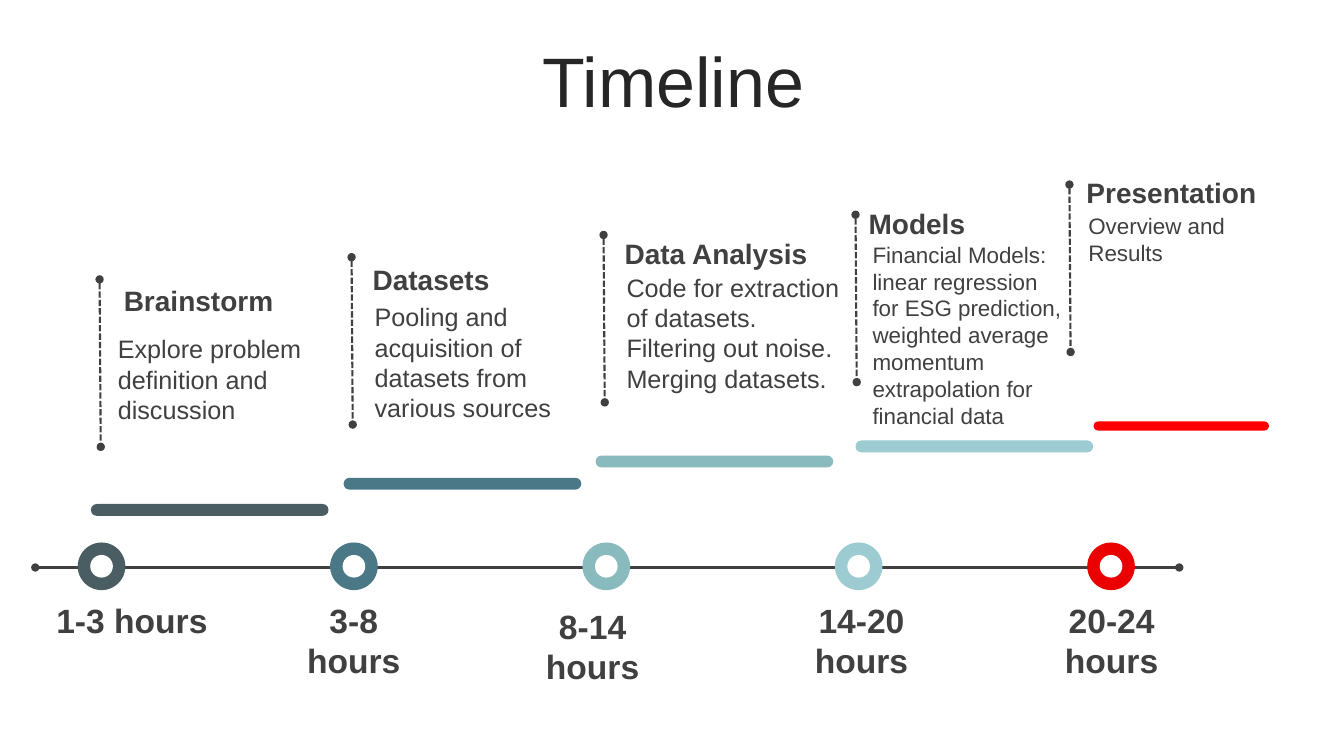
"""Build a five-stage project timeline slide."""
from dataclasses import dataclass
from typing import Optional

from lxml.etree import SubElement
from pptx import Presentation
from pptx.dml.color import RGBColor
from pptx.enum.dml import MSO_LINE as Dash
from pptx.enum.shapes import MSO_CONNECTOR as Link, MSO_SHAPE as Shape
from pptx.enum.text import MSO_ANCHOR as Anchor, PP_ALIGN as Align
from pptx.oxml.ns import qn
from pptx.shapes.autoshape import Shape as Auto
from pptx.slide import Slide
from pptx.util import Cm, Pt

FONT = "Arial"
INK = RGBColor(0x26, 0x26, 0x26)
GRAY = RGBColor(0x40, 0x40, 0x40)
WHITE = RGBColor(0xFF, 0xFF, 0xFF)
SLATE = RGBColor(0x4A, 0x5D, 0x62)
TEAL = RGBColor(0x4A, 0x78, 0x86)
SAGE = RGBColor(0x88, 0xBA, 0xBE)
AQUA = RGBColor(0x9C, 0xCC, 0xD2)
RED = RGBColor(0xEA, 0x00, 0x00)
BRIGHT = RGBColor(0xFF, 0x00, 0x00)

AXIS_Y = 14.3
RING_X, RING_Y, PITCH = 2.56, 14.27, 6.36
RING, HOLE = 1.2, 0.57
PIN_LEAN, PIN_LEN = 0.03, 4.22


@dataclass(frozen=True)
class Box:
    left: float
    top: float
    width: float
    height: float


@dataclass(frozen=True)
class Stage:
    hours: str
    title: str
    note: str
    size: int
    ring: RGBColor
    tint: RGBColor
    label: Box
    head: Box
    body: Box
    bar: Box
    pin: tuple[float, float]


STAGES = [
    Stage("1-3 hours", "Brainstorm", "Explore problem definition and discussion",
          18, SLATE, SLATE, Box(1.04, 15.11, 4.57, 1.02), Box(2.82, 7.01, 4.52, 1.12),
          Box(2.72, 8.28, 5.79, 2.57), Box(2.29, 12.7, 5.99, 0.3), (2.51, 7.04)),
    Stage("3-8 hours", "Datasets",
          "Pooling and acquisition of datasets from various sources",
          18, TEAL, TEAL, Box(7.39, 15.11, 3.05, 2.06), Box(9.09, 6.48, 4.39, 1.12),
          Box(9.19, 7.47, 4.95, 3.33), Box(8.66, 12.04, 5.99, 0.3), (8.86, 6.48)),
    Stage("8-14 hours", "Data Analysis",
          "Code for extraction of datasets. Filtering out noise. Merging datasets.",
          18, SAGE, SAGE, Box(13.41, 15.27, 3.05, 2.06), Box(15.44, 5.82, 5.46, 1.12),
          Box(15.54, 6.73, 6.15, 3.33), Box(15.01, 11.48, 5.99, 0.3), (15.21, 5.92)),
    Stage("14-20 hours", "Models",
          "Financial Models: linear regression for ESG prediction, weighted average "
          "momentum extrapolation for financial data",
          16, AQUA, AQUA, Box(20.12, 15.11, 3.18, 2.06), Box(21.59, 5.08, 4.39, 1.12),
          Box(21.74, 5.94, 5.28, 5.05), Box(21.56, 11.1, 5.99, 0.3), (21.56, 5.41)),
    Stage("20-24 hours", "Presentation", "Overview and Results",
          16, RED, BRIGHT, Box(26.49, 15.11, 3.05, 2.06), Box(27.08, 4.29, 4.93, 1.12),
          Box(27.18, 5.21, 4.37, 1.63), Box(27.56, 10.62, 4.42, 0.23), (26.95, 4.65)),
]


def add_text(slide: Slide, text: str, box: Box, size: int, color: RGBColor = GRAY,
             bold: bool = False, align: Align = Align.LEFT,
             inset: tuple[float, float] = (0.25, 0.13)) -> Auto:
    item = slide.shapes.add_textbox(
        Cm(box.left), Cm(box.top), Cm(box.width), Cm(box.height))
    frame = item.text_frame
    frame.word_wrap = True
    frame.margin_left = frame.margin_right = Cm(inset[0])
    frame.margin_top = frame.margin_bottom = Cm(inset[1])
    frame.text = text
    line = frame.paragraphs[0]
    line.alignment = align
    font = line.runs[0].font
    font.name, font.size, font.bold = FONT, Pt(size), bold
    font.color.rgb = color
    return item


def add_fill(slide: Slide, kind: Shape, box: Box, color: RGBColor) -> Auto:
    item = slide.shapes.add_shape(
        kind, Cm(box.left), Cm(box.top), Cm(box.width), Cm(box.height))
    item.shadow.inherit = False
    item.fill.solid()
    item.fill.fore_color.rgb = color
    item.line.fill.background()
    return item


def add_disc(slide: Slide, x: float, size: float, color: RGBColor) -> Auto:
    box = Box(x - size / 2, RING_Y - size / 2, size, size)
    return add_fill(slide, Shape.OVAL, box, color)


def add_line(slide: Slide, start: tuple[float, float], end: tuple[float, float],
             width: float, dash: Optional[Dash] = None) -> None:
    item = slide.shapes.add_connector(
        Link.STRAIGHT, Cm(start[0]), Cm(start[1]), Cm(end[0]), Cm(end[1]))
    item.line.color.rgb = GRAY
    item.line.width = Pt(width)
    if dash is not None:
        item.line.dash_style = dash
    stroke = item.line._get_or_add_ln()
    for tag in ("a:headEnd", "a:tailEnd"):
        SubElement(stroke, qn(tag), type="oval")
    SubElement(item._element.spPr, qn("a:effectLst"))


def add_stage(slide: Slide, stage: Stage, x: float) -> None:
    add_disc(slide, x, RING, stage.ring).rotation = 315
    add_disc(slide, x, HOLE, WHITE)
    add_text(slide, stage.hours, stage.label, 24, bold=True,
             align=Align.CENTER, inset=(0, 0))
    bar = add_fill(slide, Shape.ROUNDED_RECTANGLE, stage.bar, stage.tint)
    bar.adjustments[0] = 0.5
    add_text(slide, stage.note, stage.body, stage.size)
    add_text(slide, stage.title, stage.head, 20, bold=True, inset=(0.3, 0.13))
    left, top = stage.pin
    add_line(slide, stage.pin, (left + PIN_LEAN, top + PIN_LEN), 1.5, Dash.SQUARE_DOT)


def main() -> None:
    deck = Presentation()
    deck.slide_width, deck.slide_height = Cm(33.87), Cm(19.05)
    slide = deck.slides.add_slide(deck.slide_layouts[6])
    title = add_text(slide, "Timeline", Box(0.89, 1.19, 32.16, 2.01), 50, INK,
                     align=Align.CENTER)
    title.text_frame.vertical_anchor = Anchor.MIDDLE
    title.text_frame.paragraphs[0].line_spacing = 0.8
    add_line(slide, (0.89, AXIS_Y), (29.72, AXIS_Y), 1.75)
    for i, stage in enumerate(STAGES):
        add_stage(slide, stage, RING_X + i * PITCH)
    deck.save("out.pptx")


if __name__ == "__main__":
    main()
